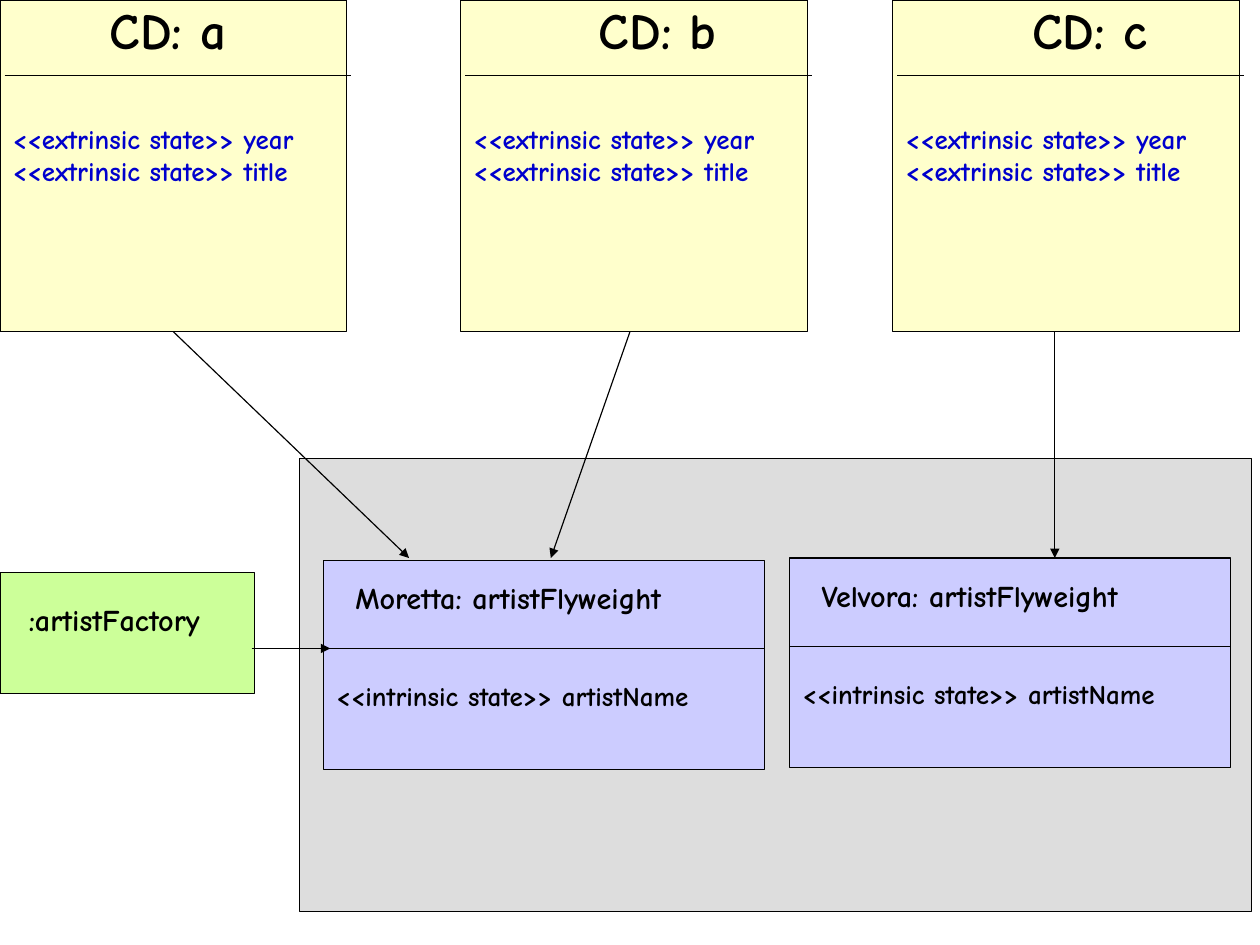
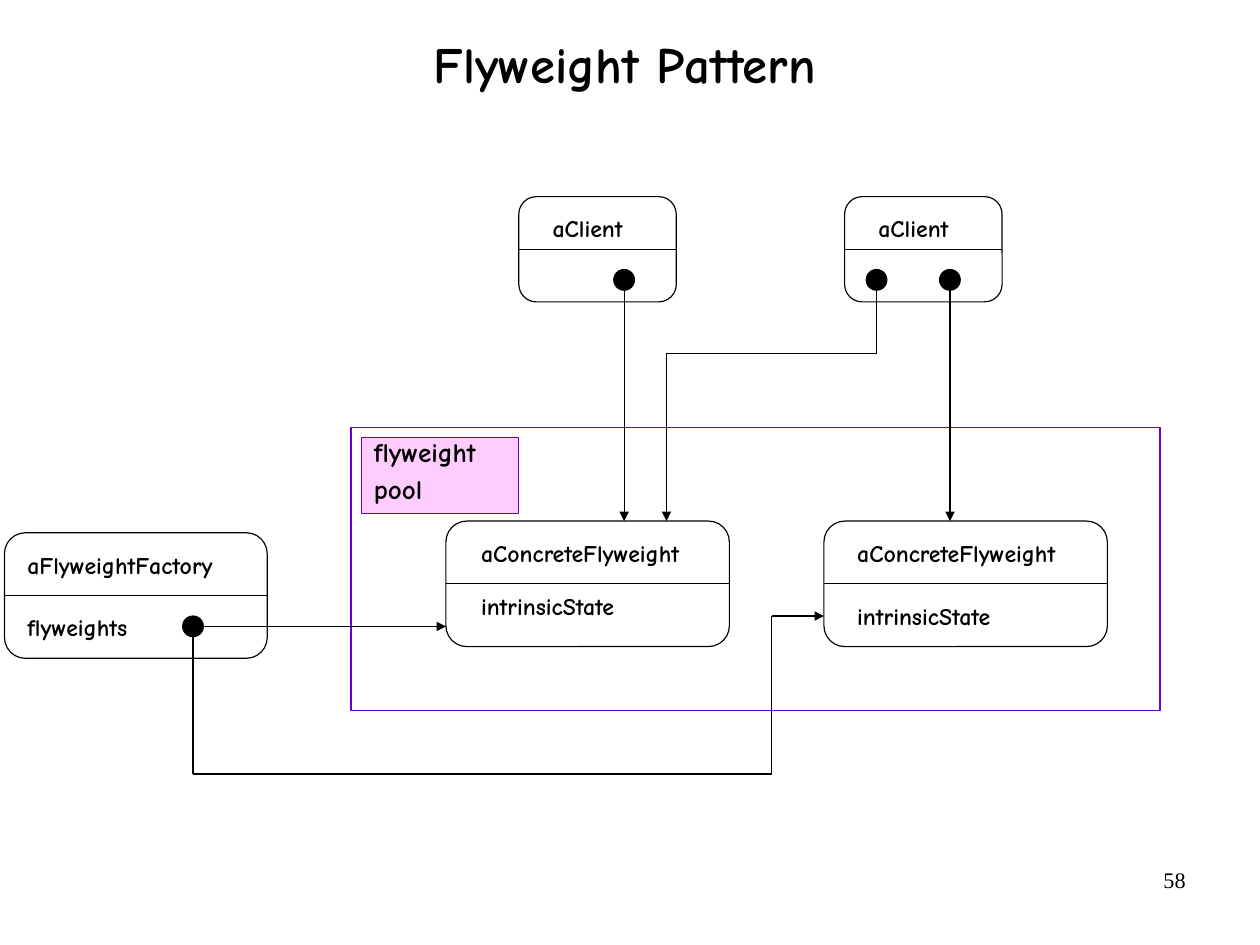
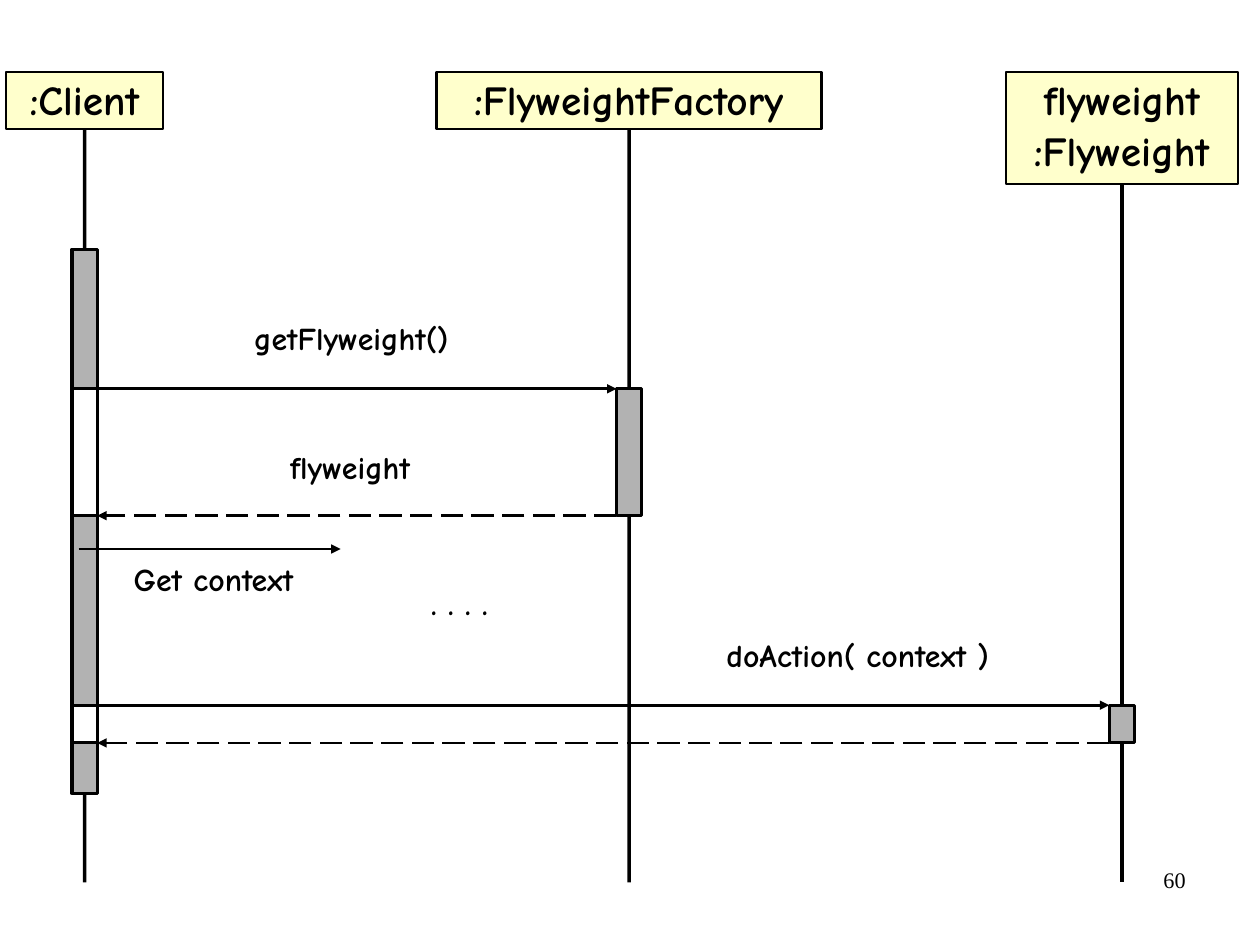
from itertools import pairwise

from pptx import Presentation
from pptx.dml.color import RGBColor
from pptx.enum.dml import MSO_LINE
from pptx.enum.shapes import MSO_CONNECTOR as CONN, MSO_SHAPE as SHAPE
from pptx.enum.text import MSO_ANCHOR as ANCHOR, PP_ALIGN as ALIGN
from pptx.oxml.ns import qn
from pptx.util import Cm, Pt
from lxml.etree import SubElement

BLACK, WHITE, BLUE = "000000", "FFFFFF", "0000CC"
CREAM, GREEN, LILAC, PINK = "FFFFCC", "CCFF99", "CCCCFF", "FFCCFF"
PALE_GREY, GREY, PURPLE = "DDDDDD", "B2B2B2", "6600CC"
FONT, NUMBER_FONT = "Comic Neue", "Times New Roman"
TITLE_ONLY, BLANK = 5, 6
BODY = dict(margin_left=Cm(0.28), margin_right=Cm(0.28),
            margin_top=Cm(0.15), margin_bottom=Cm(0.15),
            vertical_anchor=ANCHOR.TOP, word_wrap=True)


def rgb(value):
    return RGBColor.from_string(value)


def apply(obj, values):
    for name, value in values.items():
        setattr(obj, name, value)


def place(sp, x, y, w, h):
    apply(sp, dict(left=Cm(x), top=Cm(y), width=Cm(w), height=Cm(h)))


def write(tf, text, size, color=BLACK, font=FONT, bold=True, para=None, **body):
    apply(tf, BODY | body)
    for i, line in enumerate(text.split("\n")):
        p = tf.add_paragraph() if i else tf.paragraphs[0]
        apply(p, dict(alignment=ALIGN.LEFT) | (para or {}))
        r = p.add_run()
        r.text = line
        apply(r.font, dict(name=font, size=Pt(size), bold=bold))
        r.font.color.rgb = rgb(color)


def label(s, x, y, w, h, text, size, **style):
    sp = s.shapes.add_textbox(Cm(x), Cm(y), Cm(w), Cm(h))
    write(sp.text_frame, text, size, **style)
    return sp


def box(s, x, y, w, h, fill=None, line=BLACK, width=0.75, kind=SHAPE.RECTANGLE):
    sp = s.shapes.add_shape(kind, Cm(x), Cm(y), Cm(w), Cm(h))
    sp.shadow.inherit = False
    if fill:
        sp.fill.solid()
        sp.fill.fore_color.rgb = rgb(fill)
    else:
        sp.fill.background()
    sp.line.color.rgb = rgb(line)
    sp.line.width = Pt(width)
    return sp


def connect(s, x1, y1, x2, y2, arrow=False, width=0.75, dash=None):
    c = s.shapes.add_connector(CONN.STRAIGHT, Cm(x1), Cm(y1), Cm(x2), Cm(y2))
    c.line.color.rgb = rgb(BLACK)
    apply(c.line, dict(width=Pt(width), dash_style=dash))
    if arrow:
        SubElement(c.line._get_or_add_ln(), qn("a:tailEnd"), type="triangle")
    SubElement(c._element.spPr, qn("a:effectLst"))
    return c


def route(s, *points):
    legs = list(pairwise(points))
    for i, (start, end) in enumerate(legs, 1):
        connect(s, *start, *end, arrow=i == len(legs))


def add_slide(prs, layout, number=None):
    s = prs.slides.add_slide(prs.slide_layouts[layout])
    if number:
        label(s, 20.07, 19.13, 6.53, 1.45, number, 14, font=NUMBER_FONT,
              bold=False, para=dict(alignment=ALIGN.RIGHT),
              margin_right=Cm(0.25), margin_top=Cm(0.13))
    return s


def cd_card(s, x, name, name_dx):
    w, h = 7.7, 7.37
    card = box(s, x, 0, w, h, CREAM)
    connect(s, x + 0.1, 1.68, x + 0.1 + w, 1.68)
    label(s, x + name_dx, -0.18, 4.04, 1.65, name, 32)
    label(s, x, 2.57, 7.92, 1.73,
          "<<extrinsic state>> year\n<<extrinsic state>> title", 17, color=BLUE)
    return card


def artist_card(s, x, y, name):
    w, h, split = 9.8, 4.65, 1.96
    box(s, x, y, w, h, LILAC)
    connect(s, x, y + split, x + w, y + split)
    label(s, x + 0.43, y + 0.28, w - 0.43, 1.09, name, 19)
    label(s, x, y + 2.51, w, 1, "<<intrinsic state>> artistName", 17)


def object_slide(prs):
    s = add_slide(prs, BLANK)
    cd_a = cd_card(s, 0, "CD: a", 2.16)
    cd_card(s, 10.24, "CD: b", 2.79)
    cd_card(s, 19.84, "CD: c", 2.82)
    box(s, 0, 12.73, 5.66, 2.69, GREEN)
    label(s, 0.36, 13.21, 5.18, 1.09, ":artistFactory", 19)
    box(s, 6.65, 10.19, 21.16, 10.06, PALE_GREY)
    artist_card(s, 7.19, 12.45, "Moretta: artistFlyweight")
    artist_card(s, 17.55, 12.4, "Velvora: artistFlyweight")
    connect(s, 3.85, 7.37, 9.09, 12.4, arrow=True).begin_connect(cd_a, 2)
    connect(s, 14, 7.37, 12.24, 12.4, arrow=True)
    connect(s, 23.44, 7.37, 23.44, 12.4, arrow=True)
    connect(s, 5.59, 14.41, 7.34, 14.41, arrow=True)


def object_box(s, x, y, w, h, text_dx, name, state=None, state_dy=0, dots=()):
    box(s, x, y, w, h, WHITE, kind=SHAPE.ROUNDED_RECTANGLE)
    connect(s, x, y + h / 2, x + w, y + h / 2)
    for text, dy in ((name, 0.24), (state, state_dy)):
        if text:
            label(s, x + text_dx, y + dy, w - text_dx, 0.93, text, 15)
    d = 0.46
    for dx, dy in dots:
        box(s, x + dx - d / 2, y + dy - d / 2, d, d, BLACK, kind=SHAPE.OVAL)
    return [(x + dx, y + dy) for dx, dy in dots]


def pool(s, x, y, w, h):
    box(s, x, y, w, h, line=PURPLE)
    tag = box(s, x + 0.23, y + 0.23, 3.5, 1.68, PINK, PURPLE)
    write(tag.text_frame, "flyweight\npool", 17,
          para=dict(line_spacing=0.7, space_before=Pt(9)))


def pattern_slide(prs):
    s = add_slide(prs, TITLE_ONLY, "58")
    title = s.shapes.title
    place(title, 4.67, 0.58, 18.44, 1.65)
    write(title.text_frame, "Flyweight Pattern", 32,
          para=dict(alignment=ALIGN.CENTER))

    pool(s, 7.8, 9.5, 17.98, 6.3)
    top = 11.58
    [hub] = object_box(s, 0.1, 11.84, 5.84, 2.79, 0.23, "aFlyweightFactory",
                       "flyweights", 1.63, [(4.19, 2.08)])
    for x, dx, dy in ((9.91, 0.5, 1.42), (18.31, 0.46, 1.65)):
        object_box(s, x, top, 6.3, 2.79, dx, "aConcreteFlyweight",
                   "intrinsicState", dy)
    clients = [object_box(s, x, 4.37, 3.5, 2.34, 0.47, "aClient", dots=dots)
               for x, dots in ((11.53, [(2.34, 1.85)]),
                               (18.77, [(0.71, 1.85), (2.34, 1.85)]))]

    [first], [left, right] = clients
    for dot in (first, right):
        route(s, dot, (dot[0], top))
    route(s, left, (left[0], 7.85), (14.81, 7.85), (14.81, top))
    route(s, hub, (9.91, hub[1]))
    route(s, hub, (hub[0], 17.2), (17.15, 17.2), (17.15, 13.69), (18.31, 13.69))


def lifeline(s, x, w, h, name):
    head = box(s, x - w / 2, 1.6, w, h, CREAM, width=1.5)
    write(head.text_frame, name, 26, margin_top=Cm(0.43), word_wrap=False,
          para=dict(alignment=ALIGN.CENTER, line_spacing=0.6,
                    space_before=Pt(14)))
    connect(s, x, 1.6 + h, x, 19.61, width=2.25).begin_connect(head, 2)


def exchange(s, client, server, y, h):
    half = 0.28
    start, end = client + half, server - half
    connect(s, start, y, end, y, arrow=True, width=1.75)
    connect(s, end, y + h, start, y + h, arrow=True, width=1.75,
            dash=MSO_LINE.LONG_DASH)
    for x, fill in ((client, WHITE), (server, GREY)):
        box(s, x - half, y, 2 * half, h, fill, width=2)


def sequence_slide(prs):
    s = add_slide(prs, BLANK, "60")
    client, factory, flyweight = 1.88, 13.98, 24.93
    lifeline(s, client, 3.5, 1.27, ":Client")
    lifeline(s, factory, 8.56, 1.27, ":FlyweightFactory")
    lifeline(s, flyweight, 5.16, 2.49, "flyweight\n:Flyweight")
    box(s, client - 0.28, 5.54, 0.56, 12.09, GREY, width=2)
    exchange(s, client, factory, 8.64, 2.82)
    exchange(s, client, flyweight, 15.67, 0.84)
    connect(s, 1.75, 12.2, 7.57, 12.2, arrow=True, width=1.75)
    for x, y, w, text, align in (
            (5.13, 6.93, 5.36, "getFlyweight()", ALIGN.CENTER),
            (5.94, 9.8, 3.68, "flyweight", ALIGN.CENTER),
            (2.69, 12.29, 4.62, "Get context", ALIGN.LEFT),
            (9.3, 12.83, 2.69, ". . . .", ALIGN.LEFT),
            (15.47, 13.97, 7.19, "doAction( context )", ALIGN.CENTER)):
        label(s, x, y, w, 1.12, text, 20, para=dict(alignment=align))


def main():
    prs = Presentation()
    apply(prs, dict(slide_width=Cm(28), slide_height=Cm(21)))
    for build in (object_slide, pattern_slide, sequence_slide):
        build(prs)
    prs.save("out.pptx")


if __name__ == "__main__":
    main()
